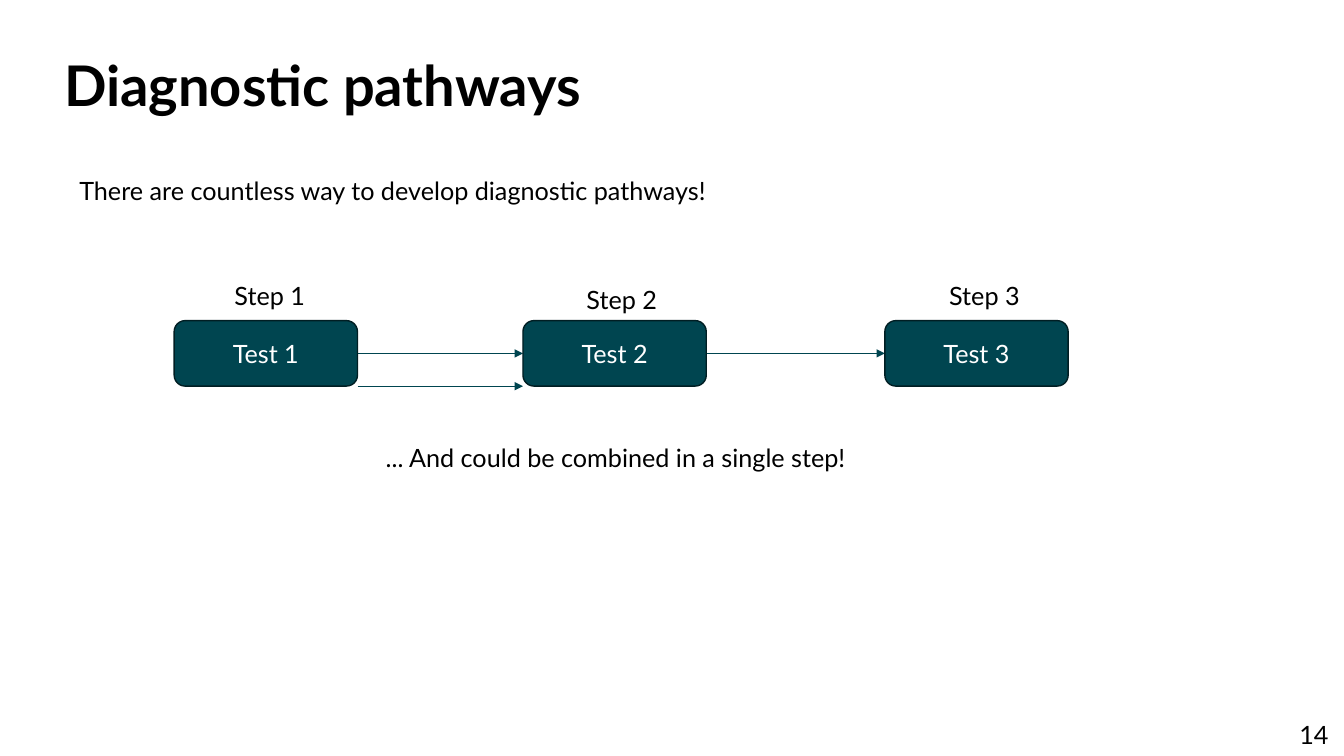
from lxml.etree import SubElement
from pptx import Presentation
from pptx.dml.color import RGBColor
from pptx.enum.shapes import MSO_CONNECTOR, MSO_SHAPE
from pptx.enum.text import MSO_ANCHOR, PP_ALIGN
from pptx.oxml.ns import qn
from pptx.util import Cm, Pt

TEAL = RGBColor(0x00, 0x45, 0x50)
DARK = RGBColor(0x00, 0x1E, 0x23)
BLACK = RGBColor(0x00, 0x00, 0x00)
WHITE = RGBColor(0xFF, 0xFF, 0xFF)


class Slide:
    font = {"name": "Lato", "size": Pt(18), "bold": False}

    def __init__(self, deck):
        self.shapes = deck.slides.add_slide(deck.slide_layouts[6]).shapes

    def apply(self, target, values):
        for name, value in values.items():
            setattr(target, name, value)

    def fill(self, frame, words, color, para, font):
        frame.word_wrap = True
        line = frame.paragraphs[0]
        self.apply(line, para)
        run = line.add_run()
        run.text = words
        self.apply(run.font, self.font | font)
        run.font.color.rgb = color

    def text(self, words, area, para={}, font={}):
        box = self.shapes.add_textbox(*map(Cm, area))
        self.fill(box.text_frame, words, BLACK, para, font)

    def box(self, words, area):
        shape = self.shapes.add_shape(MSO_SHAPE.ROUNDED_RECTANGLE, *map(Cm, area))
        shape.shadow.inherit = False
        shape.fill.solid()
        shape.fill.fore_color.rgb = TEAL
        shape.line.color.rgb = DARK
        shape.line.width = Pt(1)
        shape.text_frame.vertical_anchor = MSO_ANCHOR.MIDDLE
        self.fill(shape.text_frame, words, WHITE, {"alignment": PP_ALIGN.CENTER}, {})

    def arrow(self, start, end, level):
        link = self.shapes.add_connector(
            MSO_CONNECTOR.STRAIGHT, *map(Cm, (start, level, end, level)))
        link.line.color.rgb = TEAL
        link.line.width = Pt(0.5)
        props = link.element.spPr
        SubElement(props.find(qn("a:ln")), qn("a:tailEnd"), type="triangle")
        SubElement(props, qn("a:effectLst"))


def main():
    deck = Presentation()
    deck.slide_width, deck.slide_height = Cm(33.87), Cm(19.05)
    slide = Slide(deck)
    loose = {"line_spacing": 1.5, "space_before": Pt(10)}

    slide.text("14", (29.06, 18.01, 4.67, 1.02), {"alignment": PP_ALIGN.RIGHT})
    slide.text("Diagnostic pathways", (1.37, 1.35, 31.04, 3.56),
               {"line_spacing": 0.9}, {"size": Pt(40), "bold": True})
    slide.text("There are countless way to develop diagnostic pathways!",
               (1.75, 3.91, 31.04, 2.84), loose)
    slide.text("... And could be combined in a single step!",
               (9.47, 10.64, 15.57, 1.8), loose)

    top, wide, high = 8.08, 4.62, 1.65
    lefts = (4.39, 13.18, 22.3)
    middle, bottom = top + high / 2, top + high
    for start, end, level in ((0, 1, middle), (1, 2, middle), (0, 1, bottom)):
        slide.arrow(lefts[start] + wide, lefts[end], level)

    labels = ((5.66, 6.93), (14.53, 7.04), (23.67, 6.93))
    for step, (left, label) in enumerate(zip(lefts, labels), 1):
        slide.box(f"Test {step}", (left, top, wide, high))
        slide.text(f"Step {step}", (*label, 2.74, 1.02))

    deck.save("out.pptx")


if __name__ == "__main__":
    main()
